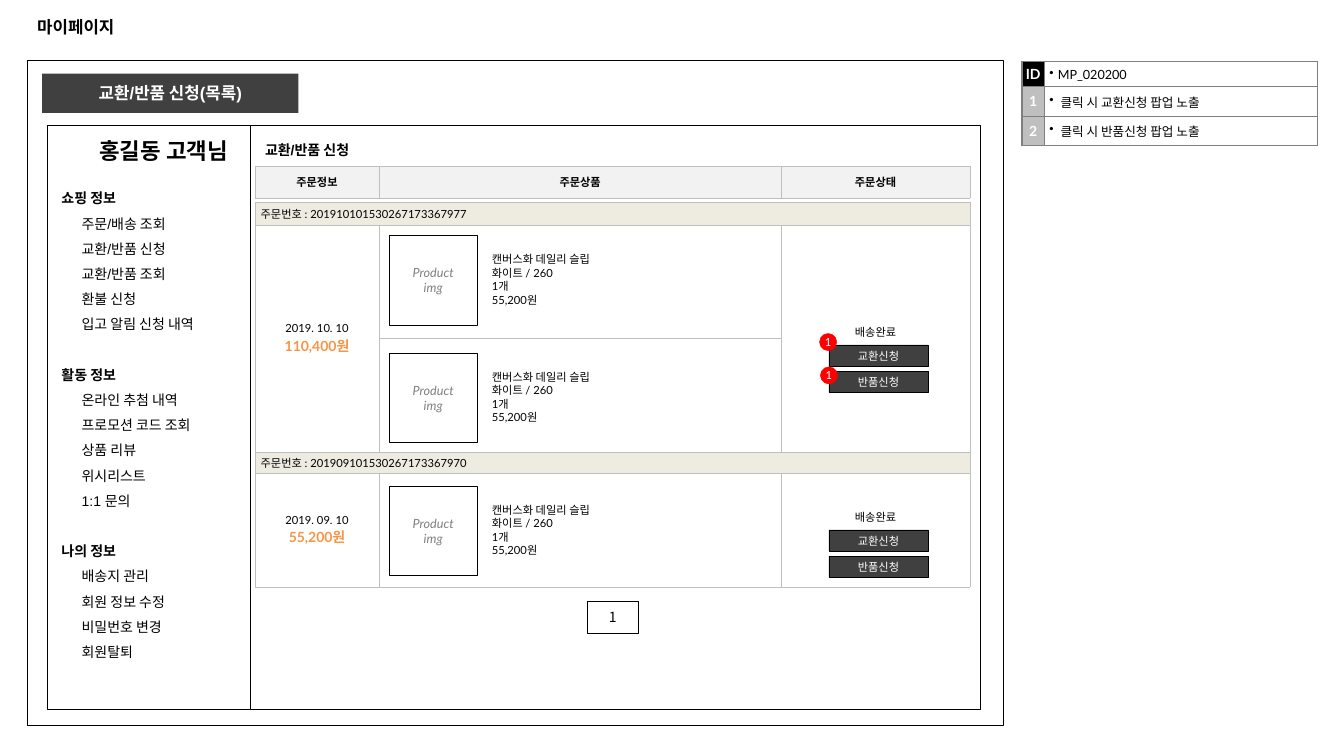
import pptx
import pptx.util
import pptx.dml.color
import pptx.enum.shapes
import pptx.enum.text
import pptx.oxml
import pptx.oxml.ns
from lxml import etree

Pt = pptx.util.Pt
RGBColor = pptx.dml.color.RGBColor
ALIGN = pptx.enum.text.PP_ALIGN
MIDDLE = pptx.enum.text.MSO_ANCHOR.MIDDLE
TOP = pptx.enum.text.MSO_ANCHOR.TOP
RECTANGLE = pptx.enum.shapes.MSO_SHAPE.RECTANGLE
OVAL = pptx.enum.shapes.MSO_SHAPE.OVAL

BLACK = RGBColor(0x00, 0x00, 0x00)
WHITE = RGBColor(0xFF, 0xFF, 0xFF)
DARK = RGBColor(0x40, 0x40, 0x40)
GRAY = RGBColor(0x80, 0x80, 0x80)
NOTE_LINE = RGBColor(0x7F, 0x7F, 0x7F)
GRID_LINE = RGBColor(0xBF, 0xBF, 0xBF)
HEADER_FILL = RGBColor(0xF2, 0xF2, 0xF2)
ORDER_FILL = RGBColor(0xEE, 0xEC, 0xE1)
ORANGE = RGBColor(0xF7, 0x96, 0x46)
RED = RGBColor(0xFF, 0x00, 0x00)

KOREAN = "Noto Sans CJK KR"
MENU = [
    ("쇼핑 정보", ["주문/배송 조회", "교환/반품 신청", "교환/반품 조회", "환불 신청", "입고 알림 신청 내역"]),
    ("활동 정보", ["온라인 추첨 내역", "프로모션 코드 조회", "상품 리뷰", "위시리스트", "1:1 문의"]),
    ("나의 정보", ["배송지 관리", "회원 정보 수정", "비밀번호 변경", "회원탈퇴"]),
]
NOTES = [("ID", "MP_020200"), ("1", "클릭 시 교환신청 팝업 노출"), ("2", "클릭 시 반품신청 팝업 노출")]
PRODUCT = ["캔버스화 데일리 슬립", "화이트 / 260", "1개", "55,200원"]
ORDER_COLUMNS = [88.5, 287.5, 134.5]
ORDER_LEFT = 182.2


def style(paragraph, size, color, font="Lato", bold=False, italic=False, align=ALIGN.LEFT):
    paragraph.alignment = align
    for run in paragraph.runs:
        run.font.name = font
        run.font.size = Pt(size)
        run.font.bold = bold
        run.font.italic = italic
        run.font.color.rgb = color


def write(text_frame, text, size, color, **options):
    text_frame.text = text
    for paragraph in text_frame.paragraphs:
        style(paragraph, size, color, **options)


def set_margins(target, margin):
    target.margin_left = target.margin_right = Pt(margin)
    target.margin_top = target.margin_bottom = Pt(margin)


def place(shape, left, top, width, height):
    shape.left, shape.top, shape.width, shape.height = Pt(left), Pt(top), Pt(width), Pt(height)


def set_bullet(paragraph, character=None, left=0, hanging=0):
    properties = paragraph._p.get_or_add_pPr()
    properties.set("marL", str(Pt(left)))
    properties.set("indent", str(-Pt(hanging)))
    tag = "a:buChar" if character else "a:buNone"
    bullet = etree.SubElement(properties, pptx.oxml.ns.qn(tag))
    if character:
        bullet.set("char", character)


def add_box(slide, left, top, width, height, fill=None, line=BLACK, line_width=0.25, kind=RECTANGLE):
    shape = slide.shapes.add_shape(kind, Pt(left), Pt(top), Pt(width), Pt(height))
    shape.shadow.inherit = False
    if fill is None:
        shape.fill.background()
    else:
        shape.fill.solid()
        shape.fill.fore_color.rgb = fill
    if line is None:
        shape.line.fill.background()
    else:
        shape.line.color.rgb = line
        shape.line.width = Pt(line_width)
    return shape


def add_label_box(slide, box, text, size, color, margin=None, font="Lato", bold=False, italic=False, **look):
    shape = add_box(slide, *box, **look)
    shape.text_frame.vertical_anchor = MIDDLE
    if margin is not None:
        set_margins(shape.text_frame, margin)
    write(shape.text_frame, text, size, color, font=font, bold=bold, italic=italic, align=ALIGN.CENTER)


def add_text(slide, left, top, width, height, text, size, font="Arial", bold=True, anchor=TOP):
    box = slide.shapes.add_textbox(Pt(left), Pt(top), Pt(width), Pt(height))
    box.text_frame.word_wrap = True
    box.text_frame.vertical_anchor = anchor
    write(box.text_frame, text, size, BLACK, font=font, bold=bold)
    return box.text_frame


def add_grid(slide, left, top, columns, rows, line, line_width):
    frame = slide.shapes.add_table(len(rows), len(columns), Pt(left), Pt(top), Pt(sum(columns)), Pt(sum(rows)))
    table = frame.table
    table.first_row = table.horz_banding = False
    for column, width in zip(table.columns, columns):
        column.width = Pt(width)
    for row, height in zip(table.rows, rows):
        row.height = Pt(height)
    for cell in table.iter_cells():
        set_margins(cell, 0)
        cell.vertical_anchor = MIDDLE
        for side in ("lnL", "lnR", "lnT", "lnB"):
            cell._tc.get_or_add_tcPr().append(pptx.oxml.parse_xml(
                f'<a:{side} {pptx.oxml.ns.nsdecls("a")} w="{Pt(line_width)}">'
                f'<a:solidFill><a:srgbClr val="{line}"/></a:solidFill></a:{side}>'))
        fill_cell(cell, WHITE)
    return table


def fill_cell(cell, color):
    cell.fill.solid()
    cell.fill.fore_color.rgb = color


def fill_menu(body):
    place(body, 36.7, 126, 142, 340.6)
    text_frame = body.text_frame
    text_frame.auto_size = pptx.enum.text.MSO_AUTO_SIZE.NONE
    text_frame.text = "\n".join("\n".join([heading, *items]) for heading, items in MENU)
    headings = [heading for heading, items in MENU]
    for index, paragraph in enumerate(text_frame.paragraphs):
        is_heading = paragraph.text in headings
        set_bullet(paragraph, left=0 if is_heading else 14.4)
        paragraph.line_spacing = Pt(18)
        paragraph.space_before = Pt(18 if is_heading and index else 0)
        style(paragraph, 10, BLACK, font="Arial", bold=is_heading)


def add_notes_table(slide):
    table = add_grid(slide, 730, 44, [16, 195], [18, 21, 21], NOTE_LINE, 1)
    for index, (mark, note) in enumerate(NOTES):
        mark_cell, note_cell = table.cell(index, 0), table.cell(index, 1)
        fill_cell(mark_cell, GRID_LINE if index else BLACK)
        write(mark_cell.text_frame, mark, 10, WHITE, bold=True, align=ALIGN.CENTER)
        set_margins(note_cell, 3.6)
        indent = 8 if index else 6
        note_cell.text_frame.text = note
        paragraph = note_cell.text_frame.paragraphs[0]
        set_bullet(paragraph, "•", indent, indent)
        style(paragraph, 9, BLACK)


def add_order(table, row, number, date, price, row_count, status_lift):
    header = table.cell(row, 0)
    header.merge(table.cell(row, 2))
    fill_cell(header, ORDER_FILL)
    header.margin_left = Pt(4)
    write(header.text_frame, f"주문번호 : {number}", 8, BLACK)
    info, status = table.cell(row + 1, 0), table.cell(row + 1, 2)
    if row_count > 1:
        info.merge(table.cell(row + row_count, 0))
        status.merge(table.cell(row + row_count, 2))
    write(info.text_frame, f"{date}\n{price}", 8, BLACK, align=ALIGN.CENTER)
    style(info.text_frame.paragraphs[1], 10, ORANGE, bold=True, align=ALIGN.CENTER)
    status.margin_bottom = Pt(status_lift)
    write(status.text_frame, "배송완료", 8, BLACK, align=ALIGN.CENTER)


def add_product(slide, top):
    add_label_box(slide, (277.9, top, 63, 64), "Product\nimg", 9, GRAY, margin=2.9, italic=True)
    details = add_text(slide, 348.5, top + 9.4, 86, 44.6, "\n".join(PRODUCT), 8, "Lato", False, MIDDLE)
    set_margins(details, 2.9)


def main():
    presentation = pptx.Presentation()
    presentation.slide_width, presentation.slide_height = Pt(960), Pt(540)
    slide = presentation.slides.add_slide(presentation.slide_layouts[1])

    # Title and page frame
    title, body = slide.placeholders
    place(title, 19.4, 5, 921, 28)
    title.text_frame.vertical_anchor = MIDDLE
    write(title.text_frame, "마이페이지", 12, BLACK, font="Arial", bold=True)
    add_box(slide, 19.4, 43.2, 697.7, 475.2, line_width=0.75)
    add_label_box(slide, (30.2, 52.6, 183, 28), "교환/반품 신청(목록)", 12, WHITE,
                  font="Arial", bold=True, fill=DARK, line=None)

    # Side menu, raised above its panel
    add_box(slide, 33.8, 89.3, 145.4, 417.6, fill=WHITE)
    add_box(slide, 178.6, 89.3, 521.3, 417.6, fill=WHITE)
    fill_menu(body)
    slide.shapes._spTree.append(body._element)
    add_text(slide, 64, 95.8, 124, 24, "홍길동 고객님", 16).paragraphs[0].line_spacing = Pt(18)

    # Order list
    heading = add_text(slide, ORDER_LEFT, 92.2, 142, 24, "교환/반품 신청", 10, anchor=MIDDLE)
    heading.paragraphs[0].line_spacing = Pt(18)
    header = add_grid(slide, ORDER_LEFT, 118.8, ORDER_COLUMNS, [22.5], GRID_LINE, 0.25)
    for cell, label in zip(header.iter_cells(), ["주문정보", "주문상품", "주문상태"]):
        fill_cell(cell, HEADER_FILL)
        write(cell.text_frame, label, 8, BLACK, bold=True, align=ALIGN.CENTER)
    orders = add_grid(slide, ORDER_LEFT, 144.2, ORDER_COLUMNS, [16.5, 81.2, 81.2, 14.8, 81.2], GRID_LINE, 0.25)
    add_order(orders, 0, "201910101530267173367977", "2019. 10. 10", "110,400원", 2, 10)
    add_order(orders, 3, "201909101530267173367970", "2019. 09. 10", "55,200원", 1, 18.5)
    for top in (168, 252, 347):
        add_product(slide, top)

    # Request buttons, page number and markers
    for top in (246.4, 378.6):
        for index, label in enumerate(["교환신청", "반품신청"]):
            add_label_box(slide, (592, top + 18.8 * index, 71, 15.2), label, 8, WHITE, font=KOREAN, fill=DARK)
    add_label_box(slide, (419.6, 429.3, 36, 23), "1", 10, BLACK, font=KOREAN, fill=WHITE)
    for left, top in ((585.4, 238.2), (586, 262)):
        add_label_box(slide, (left, top, 12.3, 12.3), "1", 8, WHITE, margin=0, fill=RED, line=RED, kind=OVAL)

    # Notes
    add_notes_table(slide)
    presentation.save("out.pptx")


if __name__ == "__main__":
    main()
